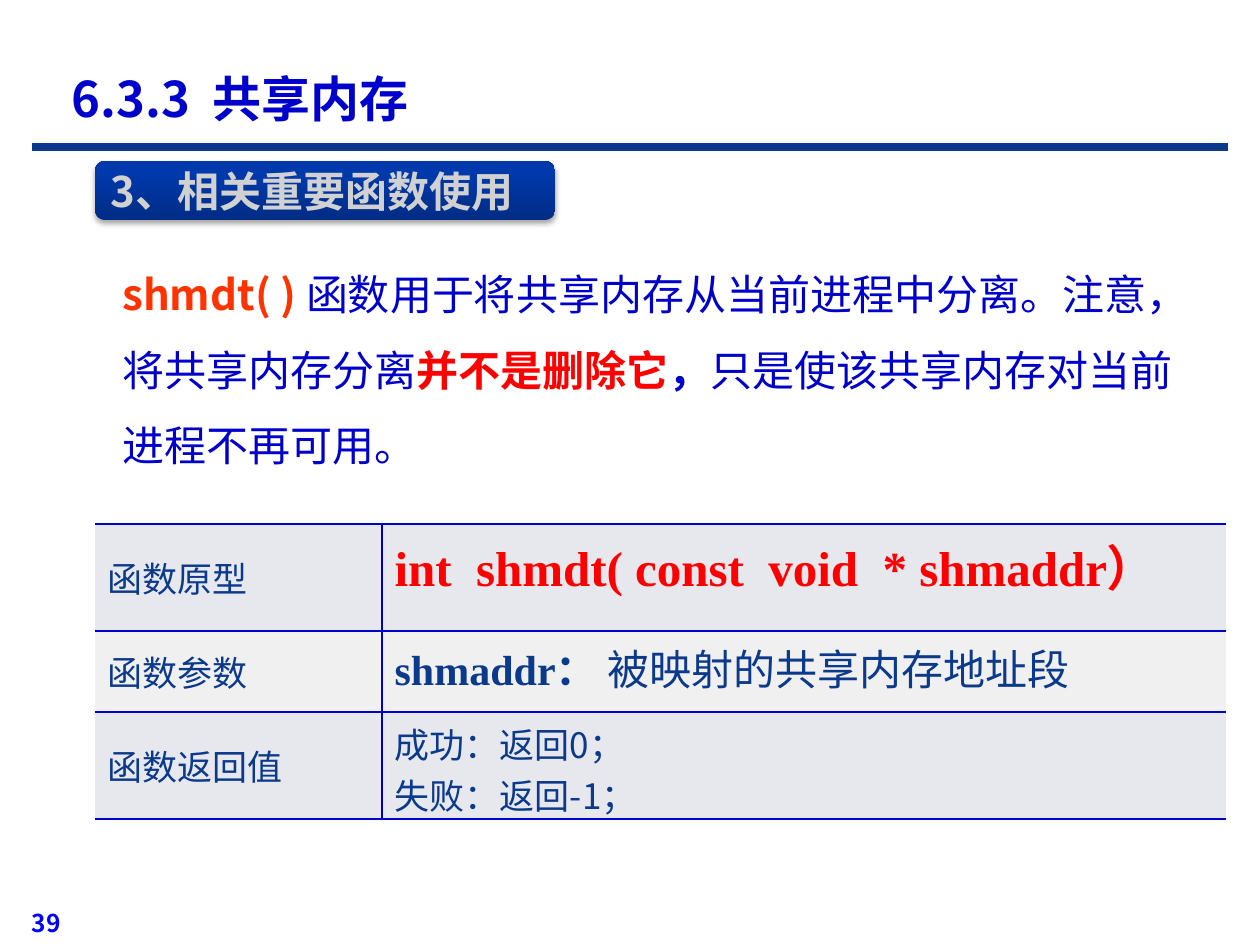
from lxml.etree import SubElement
from pptx import Presentation
from pptx.dml.color import RGBColor
from pptx.enum.shapes import MSO_CONNECTOR, MSO_SHAPE
from pptx.enum.text import MSO_ANCHOR, PP_ALIGN
from pptx.oxml.ns import qn
from pptx.util import Emu, Pt


class Theme:
    sans, serif, page = "Noto Sans CJK SC", "Times New Roman", "Noto Sans CJK JP"
    blue, navy, red, flame = "0000CC", "0B398B", "FF0000", "FF3300"
    link, pale, dark, light = "0000FF", "D1D1D1", "002C85", "0039AC"
    bands = ("E7E8EE", "F0F0F0")
    head, large, mid, small = 28, 24, 20, 14
    rule, grid = 4.5, 1.5


TITLE = "6.3.3  共享内存"
TAG = "3、相关重要函数使用"
PAGE = "39"
BODY = [
    ("shmdt( ) ", dict(hue=Theme.flame, bold=True)),
    ("函数用于将共享内存从当前进程中分离。注意，将共享内存分离", {}),
    ("并不是删除它", dict(hue=Theme.red, bold=True)),
    ("，", dict(bold=True)),
    ("只是使该共享内存对当前进程不再可用。", {}),
]
CODE = dict(size=Theme.head, hue=Theme.red, bold=True, face=Theme.serif)
TERM = dict(size=Theme.large, bold=True, face=Theme.serif)
ROWS = [
    ("函数原型", [[("int  shmdt( const  void  * shmaddr）", CODE)]]),
    ("函数参数", [[("shmaddr： ", TERM),
               ("被映射的共享内存地址段", dict(size=Theme.large))]]),
    ("函数返回值", [[("成功：返回0；", {})], [("失败：返回-1；", {})]]),
]
WIDTHS = (287, 844)
HEIGHTS = (107, 81, 107)


def px(num):
    return Emu(round(num * 914400 / 126))


def area(*nums):
    return [px(num) for num in nums]


def write(para, text, size=Theme.large, hue=Theme.blue, bold=False, face=Theme.sans):
    run = para.add_run()
    run.text = text
    font = run.font
    font.size, font.bold, font.name = Pt(size), bold, face
    font.color.rgb = RGBColor.from_string(hue)
    east = Theme.sans if face == Theme.serif else face
    SubElement(run._r.get_or_add_rPr(), qn("a:ea"), typeface=east)


def edge(cell, side):
    line = SubElement(cell._tc.get_or_add_tcPr(), qn("a:ln" + side),
                      w=str(Pt(Theme.grid)))
    fill = SubElement(line, qn("a:solidFill"))
    SubElement(fill, qn("a:srgbClr"), val=Theme.blue)


def fill_cell(cell, paras, band):
    frame = cell.text_frame
    for num, runs in enumerate(paras):
        para = frame.add_paragraph() if num else frame.paragraphs[0]
        for text, form in runs:
            write(para, text, **{"size": Theme.mid, "hue": Theme.navy, **form})
    cell.fill.solid()
    cell.fill.fore_color.rgb = RGBColor.from_string(band)


def add_title(slide):
    title = slide.shapes.title
    title.left, title.top, title.width, title.height = area(59, 59, 553, 78)
    frame = title.text_frame
    frame.vertical_anchor = MSO_ANCHOR.MIDDLE
    para = frame.paragraphs[0]
    para.alignment = PP_ALIGN.LEFT
    write(para, TITLE, size=Theme.head, bold=True)


def add_rule(slide):
    rule = slide.shapes.add_connector(
        MSO_CONNECTOR.STRAIGHT, *area(32, 147, 1228, 147))
    rule.line.color.rgb = RGBColor.from_string(Theme.navy)
    rule.line.width = Pt(Theme.rule)
    SubElement(rule._element.spPr, qn("a:effectLst"))


def add_tag(slide):
    tag = slide.shapes.add_shape(
        MSO_SHAPE.ROUNDED_RECTANGLE, *area(95, 161, 460, 59))
    tag.adjustments[0] = 0.17
    tag.line.fill.background()
    tag.fill.gradient()
    tag.fill.gradient_angle = 90
    tones = ((Theme.dark, 0), (Theme.light, 0.8))
    for stop, (hue, place) in zip(tag.fill.gradient_stops, tones):
        stop.color.rgb = RGBColor.from_string(hue)
        stop.position = place
    tag.shadow.inherit = False
    glow = SubElement(tag._element.spPr.find(qn("a:effectLst")), qn("a:outerShdw"),
                      blurRad=str(Pt(3.1)), dist=str(Pt(1.8)),
                      dir="5400000", rotWithShape="0")
    tone = SubElement(glow, qn("a:srgbClr"), val="000000")
    SubElement(tone, qn("a:alpha"), val="35000")
    frame = tag.text_frame
    frame.word_wrap = False
    frame.vertical_anchor = MSO_ANCHOR.MIDDLE
    para = frame.paragraphs[0]
    para.alignment = PP_ALIGN.LEFT
    write(para, TAG, hue=Theme.pale, bold=True)


def add_table(slide):
    table = slide.shapes.add_table(
        len(ROWS), len(WIDTHS),
        *area(95, 524, sum(WIDTHS), sum(HEIGHTS))).table
    look = table._tbl.tblPr
    look.find(qn("a:tableStyleId")).text = "{2D5ABB26-0587-4C30-8999-92F81FD0307C}"
    table.first_row = table.horz_banding = False
    for col, wide in zip(table.columns, WIDTHS):
        col.width = px(wide)
    for num, (name, paras) in enumerate(ROWS):
        table.rows[num].height = px(HEIGHTS[num])
        label, value = table.cell(num, 0), table.cell(num, 1)
        for cell, sides in ((label, "RTB"), (value, "LTB")):
            for side in sides:
                edge(cell, side)
        band = Theme.bands[num % 2]
        fill_cell(label, [[(name, {})]], band)
        fill_cell(value, paras, band)
        label.vertical_anchor = MSO_ANCHOR.MIDDLE


def add_body(slide):
    frame = slide.shapes.add_textbox(*area(110, 237, 1081, 223)).text_frame
    frame.word_wrap = True
    para = frame.paragraphs[0]
    para.line_spacing = 1.5
    for text, form in BODY:
        write(para, text, **form)


def add_page(slide):
    frame = slide.shapes.add_textbox(*area(0, 891, 73, 53)).text_frame
    frame.word_wrap = True
    frame.vertical_anchor = MSO_ANCHOR.BOTTOM
    para = frame.paragraphs[0]
    para.alignment = PP_ALIGN.RIGHT
    write(para, PAGE, size=Theme.small, hue=Theme.link, bold=True, face=Theme.page)


def main():
    deck = Presentation()
    deck.slide_width, deck.slide_height = area(1260, 945)
    slide = deck.slides.add_slide(deck.slide_layouts[5])
    for add in (add_page, add_rule, add_title, add_tag, add_table, add_body):
        add(slide)
    deck.save("out.pptx")


if __name__ == "__main__":
    main()
